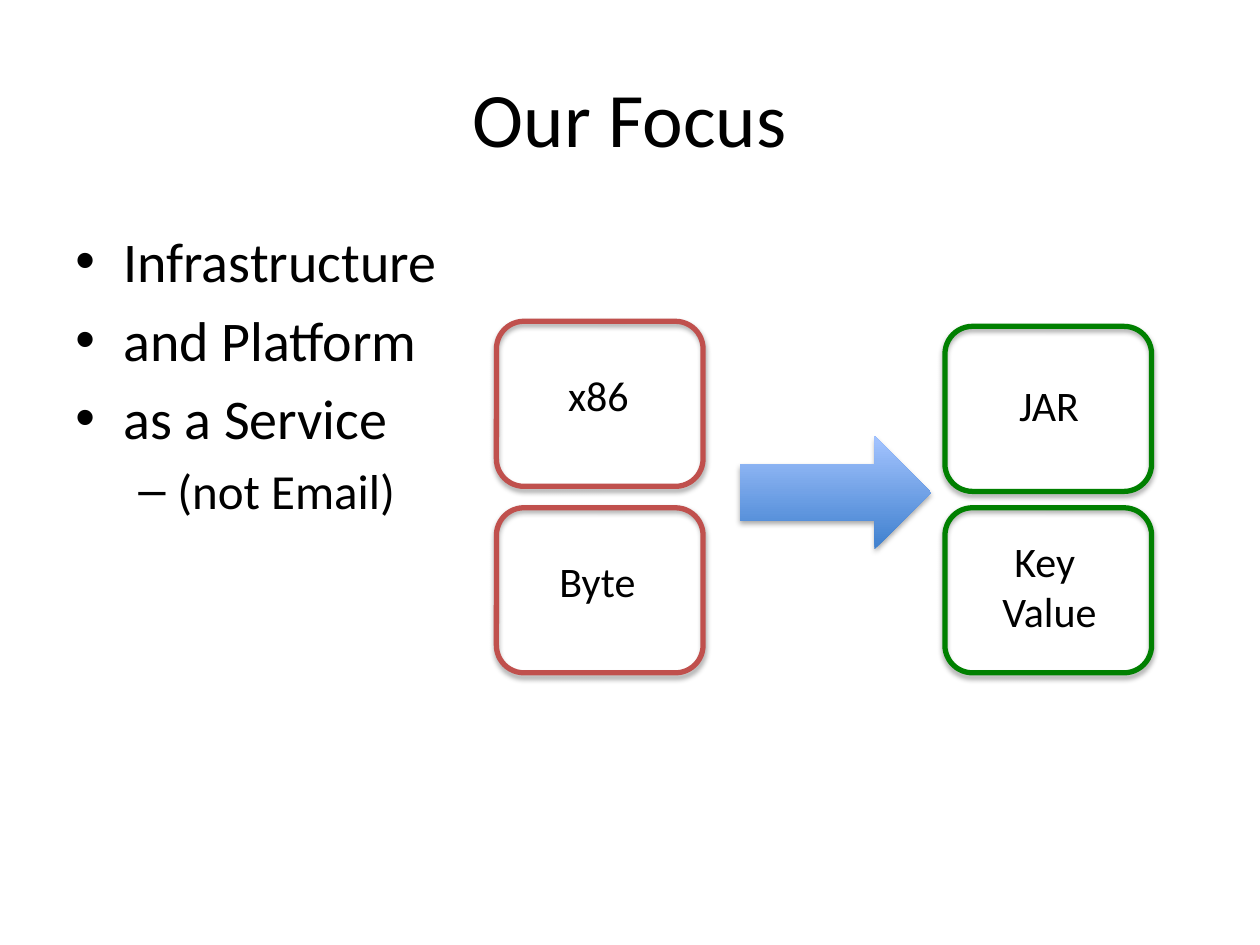
"""Build the "Our Focus" slide."""
from typing import NamedTuple

from lxml.etree import SubElement
from pptx import Presentation
from pptx.dml.color import RGBColor
from pptx.enum.shapes import MSO_SHAPE
from pptx.enum.text import MSO_ANCHOR, MSO_AUTO_SIZE, PP_ALIGN
from pptx.oxml.ns import qn
from pptx.util import Inches, Pt

BLACK = RGBColor(0x00, 0x00, 0x00)
RED = RGBColor(0xC0, 0x50, 0x4D)
GREEN = RGBColor(0x00, 0x80, 0x00)
ARROW_COLORS = (RGBColor(0x3F, 0x80, 0xCE), RGBColor(0xA4, 0xC4, 0xFF))
BOX_SIZE = (1.64, 1.31)


class Block(NamedTuple):
    left: float
    top: float
    color: RGBColor


class Label(NamedTuple):
    lines: tuple
    left: float
    top: float
    width: float
    height: float = 0.5


class Bullet(NamedTuple):
    text: str
    level: int = 0


class Level(NamedTuple):
    char: str
    size: int
    margin: float
    indent: float


LEVELS = (Level("•", 32, 0.38, -0.38), Level("–", 28, 0.81, -0.31))
BULLETS = (
    Bullet("Infrastructure"),
    Bullet("and Platform"),
    Bullet("as a Service"),
    Bullet("(not Email)", 1),
)
BLOCKS = (
    Block(3.94, 2.55, RED),
    Block(3.94, 4.03, RED),
    Block(7.5, 4.03, GREEN),
    Block(7.5, 2.59, GREEN),
)
LABELS = (
    Label(("x86",), 4.41, 2.88, 0.69),
    Label(("JAR",), 7.99, 2.96, 0.68),
    Label(("Byte",), 4.34, 4.36, 0.81),
    Label(("Key ", "Value"), 7.85, 4.2, 0.96, 0.91),
)


def style(obj, **values) -> None:
    for name, value in values.items():
        setattr(obj, name, value)


def style_font(font, size: int) -> None:
    style(font, name="Calibri", size=Pt(size))
    font.color.rgb = BLACK


def add_shadow(sp) -> None:
    sp.shadow.inherit = False
    effects = sp.element.spPr.find(qn("a:effectLst"))
    shadow = SubElement(effects, qn("a:outerShdw"), blurRad="40000",
                        dist="23000", dir="5400000", rotWithShape="0")
    color = SubElement(shadow, qn("a:srgbClr"), val="000000")
    SubElement(color, qn("a:alpha"), val="35000")


def add_title(s, text: str) -> None:
    title = s.shapes.title
    style(title, left=Inches(0.5), top=Inches(0.3),
          width=Inches(9), height=Inches(1.25))
    tf = title.text_frame
    style(tf, text=text, vertical_anchor=MSO_ANCHOR.MIDDLE)
    p = tf.paragraphs[0]
    p.alignment = PP_ALIGN.CENTER
    style_font(p.runs[0].font, 44)


def add_bullets(s, bullets: tuple) -> None:
    tf = s.shapes.add_textbox(
        Inches(0.5), Inches(1.75), Inches(9), Inches(4.95)).text_frame
    tf.word_wrap = True
    for i, bullet in enumerate(bullets):
        level = LEVELS[bullet.level]
        p = tf.add_paragraph() if i else tf.paragraphs[0]
        style(p, level=bullet.level,
              space_before=Pt(level.size * 0.2 if i else 0))
        pPr = p._p.get_or_add_pPr()
        pPr.set("marL", str(Inches(level.margin)))
        pPr.set("indent", str(Inches(level.indent)))
        SubElement(pPr, qn("a:buFont"), typeface="Arial")
        SubElement(pPr, qn("a:buChar"), char=level.char)
        r = p.add_run()
        r.text = bullet.text
        style_font(r.font, level.size)


def add_block(s, block: Block) -> None:
    sp = s.shapes.add_shape(
        MSO_SHAPE.ROUNDED_RECTANGLE, Inches(block.left), Inches(block.top),
        *map(Inches, BOX_SIZE))
    sp.fill.background()
    sp.line.color.rgb = block.color
    sp.line.width = Pt(3)
    add_shadow(sp)


def add_label(s, label: Label) -> None:
    tf = s.shapes.add_textbox(*map(Inches, label[1:])).text_frame
    style(tf, word_wrap=False, auto_size=MSO_AUTO_SIZE.SHAPE_TO_FIT_TEXT)
    for i, line in enumerate(label.lines):
        p = tf.add_paragraph() if i else tf.paragraphs[0]
        p.alignment = PP_ALIGN.CENTER if len(label.lines) > 1 else PP_ALIGN.LEFT
        r = p.add_run()
        r.text = line
        style_font(r.font, 24)


def add_arrow(s) -> None:
    sp = s.shapes.add_shape(
        MSO_SHAPE.RIGHT_ARROW, Inches(5.87), Inches(3.46), Inches(1.52), Inches(0.9))
    sp.fill.gradient()
    sp.fill.gradient_angle = 90
    for i, (stop, color) in enumerate(zip(sp.fill.gradient_stops, ARROW_COLORS)):
        stop.position = i
        stop.color.rgb = color
    sp.line.fill.background()
    add_shadow(sp)


def main() -> None:
    prs = Presentation()
    style(prs, slide_width=Inches(10), slide_height=Inches(7.5))
    s = prs.slides.add_slide(prs.slide_layouts[5])
    add_title(s, "Our Focus")
    add_bullets(s, BULLETS)
    for block in BLOCKS:
        add_block(s, block)
    for label in LABELS:
        add_label(s, label)
    add_arrow(s)
    prs.save("out.pptx")


if __name__ == "__main__":
    main()
